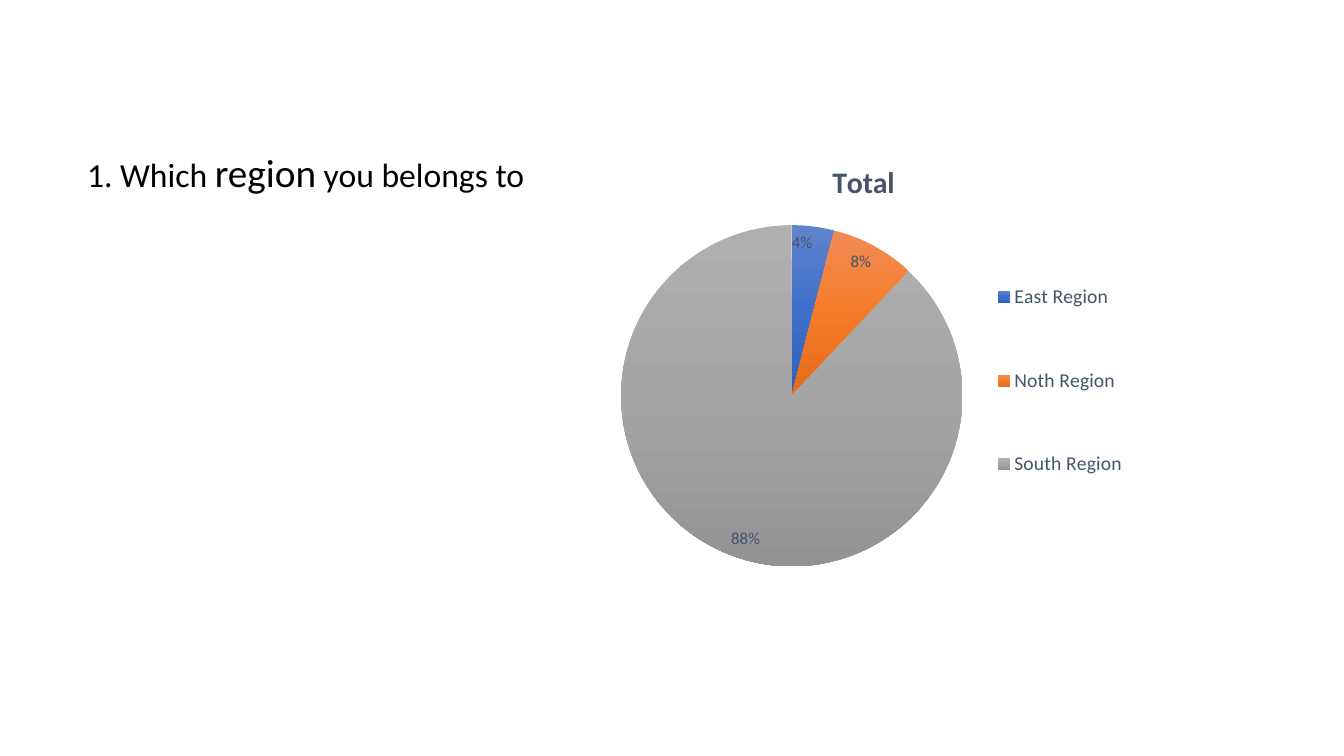
from lxml import etree
from pptx import Presentation
from pptx.chart.data import CategoryChartData
from pptx.dml.color import RGBColor
from pptx.enum.chart import XL_CHART_TYPE, XL_LABEL_POSITION, XL_LEGEND_POSITION
from pptx.enum.text import MSO_ANCHOR, PP_ALIGN
from pptx.oxml.ns import qn
from pptx.util import Inches, Pt

FONT = "Calibri"
BLACK = RGBColor(0x00, 0x00, 0x00)
SLATE = RGBColor(0x44, 0x54, 0x6A)
BLUES = [RGBColor.from_string(c) for c in ("6183CB", "3E70CA", "3062BB")]
ORANGES = [RGBColor.from_string(c) for c in ("F18C57", "F67B28", "E56C19")]
GREYS = [RGBColor.from_string(c) for c in ("AFAFAF", "A5A5A5", "939393")]
REGIONS = [("East Region", 4, BLUES), ("Noth Region", 8, ORANGES), ("South Region", 88, GREYS)]


def style_font(font, size, color, bold=False):
    """Apply the deck font with a size, colour and weight."""
    font.name, font.size, font.bold = FONT, Pt(size), bold
    font.color.rgb = color


def fill_gradient(fill, colors):
    """Fill from top to bottom through evenly spaced colours."""
    fill.gradient()
    grad = fill._xPr.find(qn("a:gradFill"))
    for child in list(grad):
        grad.remove(child)
    stops = etree.SubElement(grad, qn("a:gsLst"))
    for i, color in enumerate(colors):
        stop = etree.SubElement(stops, qn("a:gs"), pos=str(100000 * i // (len(colors) - 1)))
        etree.SubElement(stop, qn("a:srgbClr"), val=str(color))
    etree.SubElement(grad, qn("a:lin"), ang="5400000", scaled="0")


def set_layout(parent, index, box, inner=False):
    """Place a chart part by fractions of the chart area."""
    for old in parent.findall(qn("c:layout")):
        parent.remove(old)
    layout = etree.Element(qn("c:layout"))
    manual = etree.SubElement(layout, qn("c:manualLayout"))
    if inner:
        etree.SubElement(manual, qn("c:layoutTarget"), val="inner")
    for tag in ("xMode", "yMode"):
        etree.SubElement(manual, qn(f"c:{tag}"), val="edge")
    for tag, value in zip("xywh", box):
        etree.SubElement(manual, qn(f"c:{tag}"), val=str(value))
    parent.insert(index, layout)


def add_question(slide, left, top, width, height):
    """Write the survey question at the bottom of its box."""
    box = slide.shapes.add_textbox(Inches(left), Inches(top), Inches(width), Inches(height))
    frame = box.text_frame
    frame.word_wrap = True
    frame.vertical_anchor = MSO_ANCHOR.BOTTOM
    frame.margin_left = Inches(0.24)
    paragraph = frame.paragraphs[0]
    paragraph.alignment = PP_ALIGN.CENTER
    paragraph.line_spacing = 0.9
    for text, size in (("1. Which ", 24), ("region", 28), (" you belongs to", 24)):
        run = paragraph.add_run()
        run.text = text
        style_font(run.font, size, BLACK)


def add_region_pie(slide, left, top, width, height):
    """Draw the pie of answers by region with title and legend."""
    data = CategoryChartData()
    data.categories = [name for name, _, _ in REGIONS]
    data.add_series("Total", [value for _, value, _ in REGIONS])
    chart = slide.shapes.add_chart(
        XL_CHART_TYPE.PIE, Inches(left), Inches(top), Inches(width), Inches(height), data
    ).chart
    style_font(chart.font, 10, BLACK)

    chart.has_title = True
    title = chart.chart_title.text_frame
    title.text = "Total"
    style_font(title.paragraphs[0].runs[0].font, 21.3, SLATE, True)

    chart.has_legend = True
    legend = chart.legend
    legend.position = XL_LEGEND_POSITION.RIGHT
    legend.include_in_layout = False
    style_font(legend.font, 14, SLATE)
    set_layout(legend._element, 1, (0.7, 0.19, 0.23, 0.71))

    plot = chart.plots[0]
    plot.vary_by_categories = True
    set_layout(plot._element.getparent(), 0, (0.11, 0.19, 0.55, 0.78), inner=True)
    for i, (_, _, colors) in enumerate(REGIONS):
        point = plot.series[0].points[i]
        fill_gradient(point.format.fill, colors)
        point.format.line.fill.background()

    plot.has_data_labels = True
    labels = plot.data_labels
    labels.show_value = False
    labels.show_percentage = True
    labels.number_format = "0%"
    labels.number_format_is_linked = False
    labels.position = XL_LABEL_POSITION.INSIDE_END
    style_font(labels.font, 12, SLATE)


def main():
    """Build and save the slide."""
    deck = Presentation()
    deck.slide_width, deck.slide_height = Inches(13.33), Inches(7.5)
    slide = deck.slides.add_slide(deck.slide_layouts[6])
    add_question(slide, 0.12, 0.18, 5.68, 1.81)
    add_region_pie(slide, 5.47, 1.41, 6.19, 4.34)
    deck.save("out.pptx")


main()
